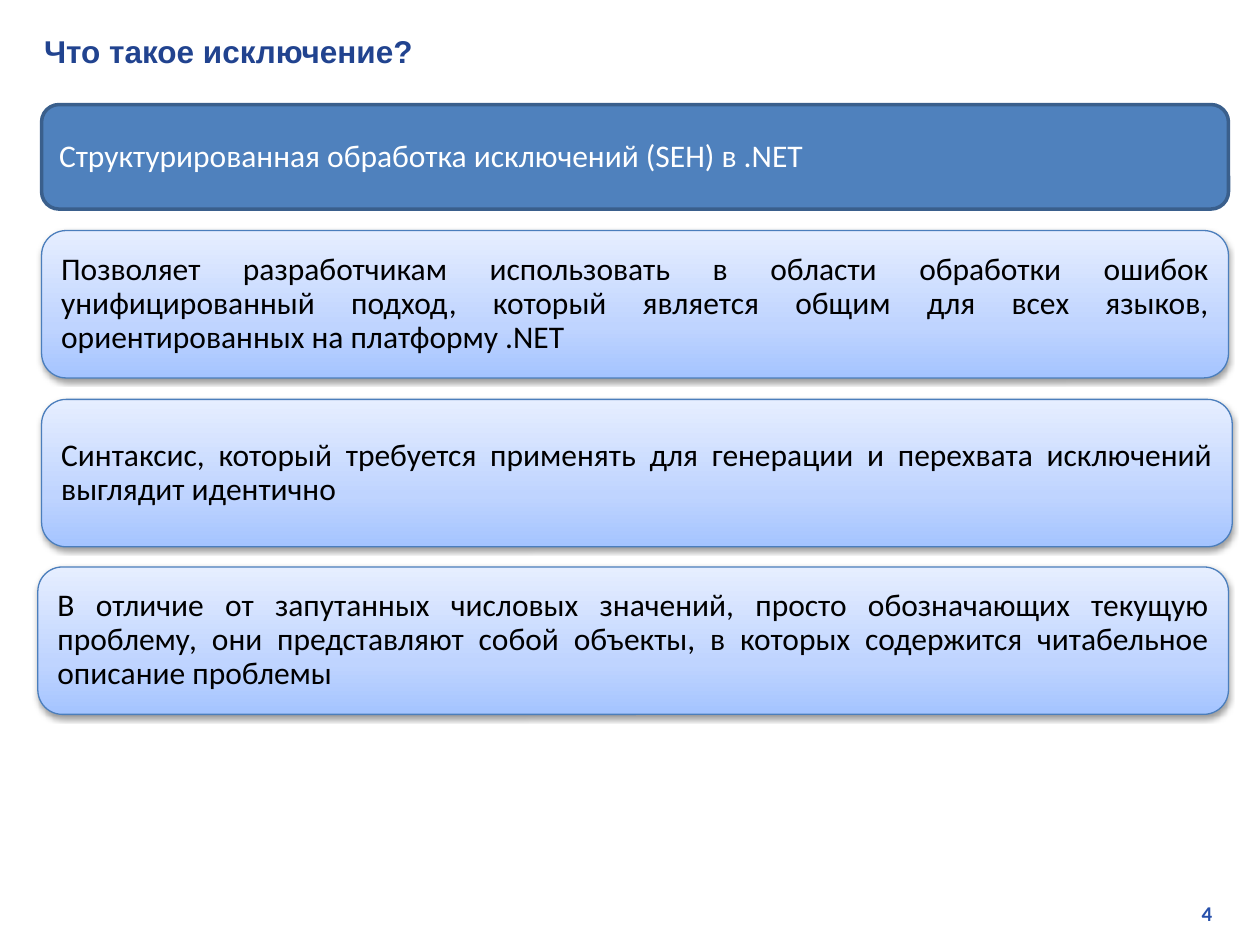
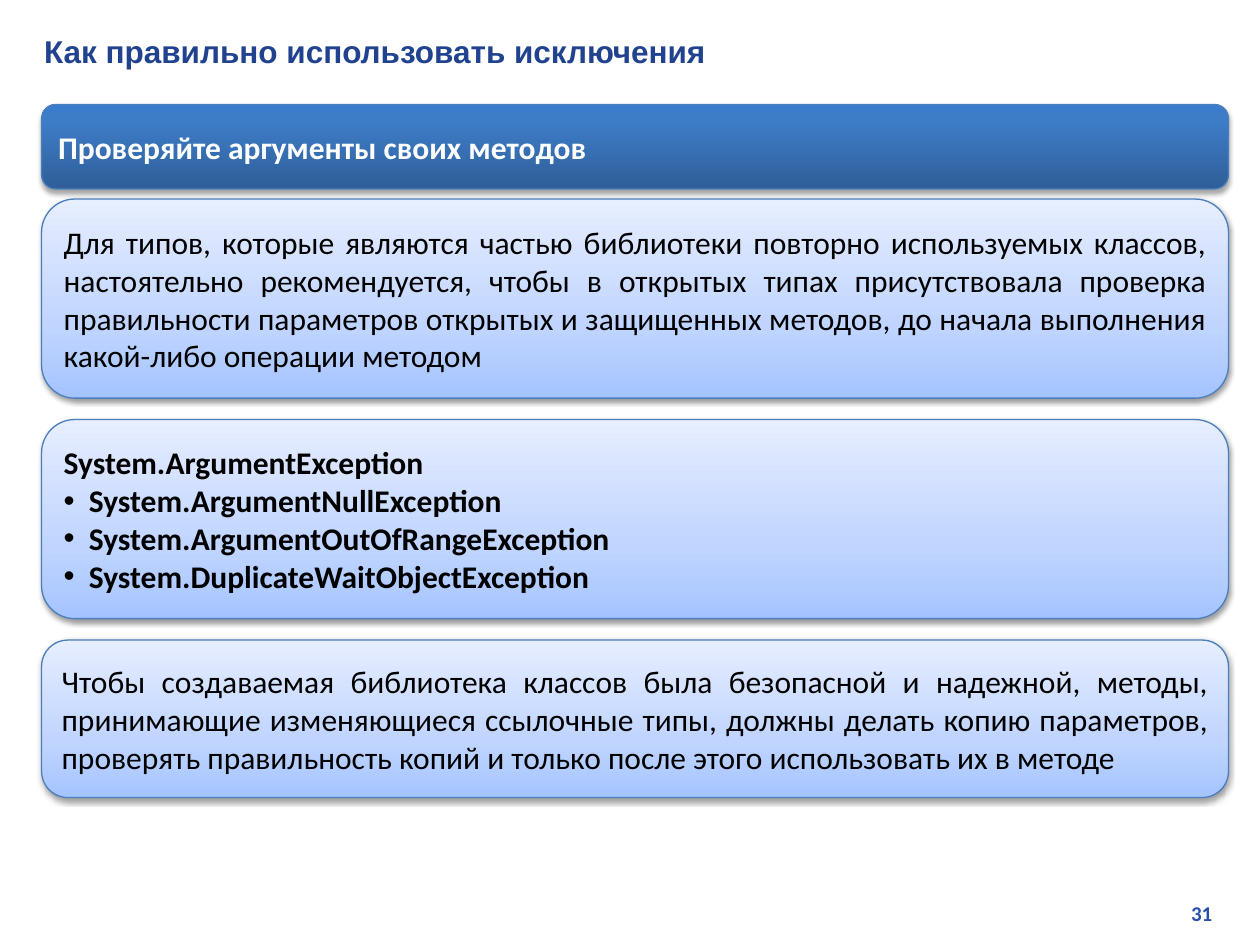
"""Build two slides about exceptions: a title, a header band and text panels."""
from lxml import etree
from pptx import Presentation
from pptx.dml.color import RGBColor
from pptx.enum.shapes import MSO_SHAPE
from pptx.enum.text import MSO_ANCHOR, MSO_AUTO_SIZE, PP_ALIGN
from pptx.oxml.ns import qn
from pptx.util import Inches, Pt

WHITE, BLACK = "FFFFFF", "000000"
TITLE, NUMBER, EDGE = "21438F", "2750AB", "4B7EBC"
LEFT, WIDTH = 0.33, 9.42

# Each style: gradient stops or flat colour, outline, outline width, text colour, shadow (opacity, distance)
STYLES = {
    "flat": ("4F81BD", "3A5F8C", 2, WHITE, None),
    "band": ([(0, "2F5F99"), (80, "3D7CC7"), (100, "3A7CCB")], EDGE, 0.75, WHITE, (35, 1.8)),
    "panel": ([(0, "A4C4FF"), (35, "BFD4FF"), (100, "E6EEFF")], EDGE, 0.75, BLACK, (38, 1.6)),
}

J, L = PP_ALIGN.JUSTIFY, PP_ALIGN.LEFT

# Each box: style, left, top, width, height, alignment, bold, paragraphs (all but the first are bulleted)
SLIDES = [
    ("Что такое исключение?", "4", 0.9, [
        ("flat", LEFT, 0.83, WIDTH, 0.83, J, False,
         ["Структурированная обработка исключений (SEH) в .NET"]),
        ("panel", LEFT, 1.83, WIDTH, 1.17, J, False,
         ["Позволяет разработчикам использовать в области обработки ошибок унифицированный "
          "подход, который является общим для всех языков, ориентированных на платформу .NET"]),
        ("panel", LEFT, 3.17, 9.45, 1.17, J, False,
         ["Синтаксис, который требуется применять для генерации и перехвата исключений "
          "выглядит идентично"]),
        ("panel", 0.3, 4.5, 9.45, 1.17, J, False,
         ["В отличие от запутанных числовых значений, просто обозначающих текущую проблему, "
          "они представляют собой объекты, в которых содержится читабельное описание проблемы"]),
    ]),
    ("Как правильно использовать исключения", "31", 1.0, [
        ("band", LEFT, 0.83, WIDTH, 0.67, L, True, ["Проверяйте аргументы своих методов"]),
        ("panel", LEFT, 1.58, WIDTH, 1.58, J, False,
         ["Для типов, которые являются частью библиотеки повторно используемых классов, "
          "настоятельно рекомендуется, чтобы в открытых типах присутствовала проверка "
          "правильности параметров открытых и защищенных методов, до начала выполнения "
          "какой-либо операции методом"]),
        ("panel", LEFT, 3.33, WIDTH, 1.58, L, True,
         ["System.ArgumentException", "System.ArgumentNullException",
          "System.ArgumentOutOfRangeException", "System.DuplicateWaitObjectException"]),
        ("panel", LEFT, 5.08, WIDTH, 1.25, J, False,
         ["Чтобы создаваемая библиотека классов была безопасной и надежной, методы, "
          "принимающие изменяющиеся ссылочные типы, должны делать копию параметров, "
          "проверять правильность копий и только после этого использовать их в методе"]),
    ]),
]


def rgb(color):
    return RGBColor.from_string(color)


def style_text(p, size, font, color, bold, align):
    p.alignment = align
    for r in p.runs:
        r.font.size, r.font.name, r.font.bold = Pt(size), font, bold
        r.font.color.rgb = rgb(color)


prs = Presentation()
prs.slide_width, prs.slide_height = Inches(10), Inches(7.5)

for title, number, spacing, boxes in SLIDES:
    s = prs.slides.add_slide(prs.slide_layouts[5])

    sp = s.shapes.add_textbox(Inches(7.6), Inches(7.1), Inches(2.12), Inches(0.3))
    tf = sp.text_frame
    tf.word_wrap = True
    tf.text = number
    style_text(tf.paragraphs[0], 12, "Calibri", NUMBER, True, PP_ALIGN.RIGHT)

    sp = s.shapes.title
    sp.left, sp.top, sp.width, sp.height = Inches(0.25), Inches(0.2), Inches(9.54), Inches(0.4)
    tf = sp.text_frame
    tf.text = title
    tf.auto_size = MSO_AUTO_SIZE.NONE
    tf.vertical_anchor = MSO_ANCHOR.MIDDLE
    style_text(tf.paragraphs[0], 18, "Arial", TITLE, True, L)

    for style, left, top, width, height, align, bold, lines in boxes:
        fill, edge, edge_width, text_color, shadow = STYLES[style]
        sp = s.shapes.add_shape(MSO_SHAPE.ROUNDED_RECTANGLE,
                                Inches(left), Inches(top), Inches(width), Inches(height))
        sp.line.color.rgb = rgb(edge)
        sp.line.width = Pt(edge_width)
        sp.shadow.inherit = False
        spPr = sp._element.spPr

        if isinstance(fill, str):
            sp.fill.solid()
            sp.fill.fore_color.rgb = rgb(fill)
        else:
            sp.fill.gradient()
            sp.fill.gradient_angle = 90
            stops = spPr.find(qn("a:gradFill")).find(qn("a:gsLst"))
            for stop in list(stops):
                stops.remove(stop)
            for pos, color in fill:
                stop = etree.SubElement(stops, qn("a:gs"), pos=str(pos * 1000))
                etree.SubElement(stop, qn("a:srgbClr"), val=color)

        if shadow:
            opacity, distance = shadow
            outer = etree.SubElement(spPr.find(qn("a:effectLst")), qn("a:outerShdw"),
                                     blurRad=str(Pt(3.1)), dist=str(Pt(distance)),
                                     dir="5400000", rotWithShape="0")
            color = etree.SubElement(outer, qn("a:srgbClr"), val=BLACK)
            etree.SubElement(color, qn("a:alpha"), val=str(opacity * 1000))

        tf = sp.text_frame
        tf.word_wrap = True
        tf.vertical_anchor = MSO_ANCHOR.MIDDLE
        tf.text = "\n".join(lines)
        for i, p in enumerate(tf.paragraphs):
            if i:
                pPr = p._p.get_or_add_pPr()
                pPr.set("marL", str(Inches(0.2)))
                pPr.set("indent", str(-Inches(0.2)))
                etree.SubElement(pPr, qn("a:buFont"), typeface="Arial")
                etree.SubElement(pPr, qn("a:buChar"), char="•")
            p.line_spacing = spacing
            style_text(p, 18, "Calibri", text_color, bold, align)

prs.save("out.pptx")
